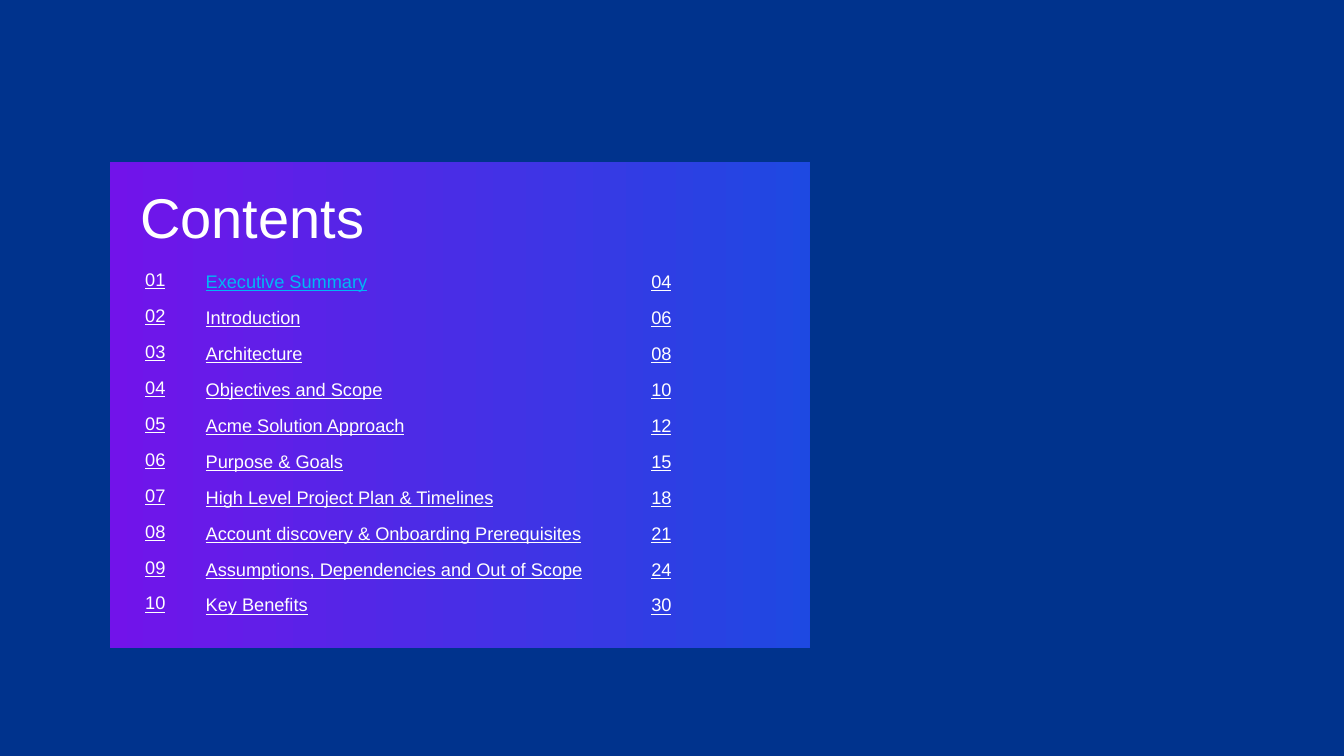
"""Builds a contents slide with a gradient panel and a linked-style table."""
from pptx import Presentation
from pptx import util as u
from pptx.dml.color import RGBColor
from pptx.enum import shapes, text
from pptx.oxml.ns import qn

COLOURS = {"background": "00338D", "panel_start": "7213EA",
           "panel_end": "1E49E2", "text": "FFFFFF", "current": "00B8F5"}
COLUMNS, ROWS = 133.3, 75
NO_STYLE = "{2D5ABB26-0587-4C30-8999-92F81FD0307C}"
CELL_FONT = {"name": "Arial", "size": u.Pt(13), "underline": True}
TITLE_FONT = {"name": "Arial", "size": u.Pt(40)}
COLUMN_WIDTHS = (6, 42.1, 4.1)
ROW_HEIGHT = 3.5
CONTENTS = (
    ("Executive Summary", "04"),
    ("Introduction", "06"),
    ("Architecture", "08"),
    ("Objectives and Scope", "10"),
    ("Acme Solution Approach", "12"),
    ("Purpose & Goals", "15"),
    ("High Level Project Plan & Timelines", "18"),
    ("Account discovery & Onboarding Prerequisites", "21"),
    ("Assumptions, Dependencies and Out of Scope", "24"),
    ("Key Benefits", "30"),
)


def colour(name):
    """Return the named colour."""
    return RGBColor.from_string(COLOURS[name])


def grid(*lengths):
    """Turn grid units, each a tenth of an inch, into slide lengths."""
    return [u.Inches(length / 10) for length in lengths]


def set_values(target, values):
    """Set each named attribute on the target."""
    for name, value in values.items():
        setattr(target, name, value)


def write(paragraph, words, font, colour_name="text", **layout):
    """Write formatted words into a paragraph."""
    set_values(paragraph, layout)
    run = paragraph.add_run()
    run.text = words
    set_values(run.font, font)
    run.font.color.rgb = colour(colour_name)


def add_panel(slide, box):
    """Add the panel with its left-to-right gradient."""
    panel = slide.shapes.add_shape(shapes.MSO_SHAPE.RECTANGLE, *grid(*box))
    panel.shadow.inherit = False
    panel.line.fill.background()
    panel.fill.gradient()
    panel.fill.gradient_angle = 0
    for stop, name in zip(panel.fill.gradient_stops, ("panel_start", "panel_end")):
        stop.color.rgb = colour(name)


def add_title(slide, box, words):
    """Add the title without side margins."""
    frame = slide.shapes.add_textbox(*grid(*box)).text_frame
    set_values(frame, {"word_wrap": True, "margin_left": 0, "margin_right": 0,
                       "margin_top": u.Inches(0.07), "margin_bottom": 0})
    write(frame.paragraphs[0], words, TITLE_FONT, line_spacing=0.7)


def fill_cell(cell, words, colour_name, left_margin, layout):
    """Fill one transparent table cell."""
    cell.fill.background()
    margin = u.Inches(0.07)
    set_values(cell, {"margin_left": u.Inches(left_margin), "margin_right": 0,
                      "margin_top": margin, "margin_bottom": margin,
                      "vertical_anchor": text.MSO_ANCHOR.MIDDLE})
    write(cell.text_frame.paragraphs[0], words, CELL_FONT, colour_name, **layout)


def add_contents(slide, left, top, entries):
    """Add the table of numbered sections and their pages."""
    box = grid(left, top, sum(COLUMN_WIDTHS), ROW_HEIGHT * len(entries))
    table = slide.shapes.add_table(len(entries), len(COLUMN_WIDTHS), *box).table
    set_values(table, {"first_row": False, "horz_banding": False})
    table._tbl.tblPr.find(qn("a:tableStyleId")).text = NO_STYLE
    for column, width in zip(table.columns, grid(*COLUMN_WIDTHS)):
        column.width = width
    for index, (section, page) in enumerate(entries):
        number, name, page_cell = table.rows[index].cells
        fill_cell(number, f"{index + 1:02}", "text", 0, {"line_spacing": 0.7})
        fill_cell(name, section, "text" if index else "current", 0, {})
        fill_cell(page_cell, page, "text", 0.07, {"alignment": text.PP_ALIGN.RIGHT})


def main():
    """Build and save the slide."""
    presentation = Presentation()
    presentation.slide_width, presentation.slide_height = grid(COLUMNS, ROWS)
    slide = presentation.slides.add_slide(presentation.slide_layouts[6])
    slide.background.fill.solid()
    slide.background.fill.fore_color.rgb = colour("background")
    add_panel(slide, (10.9, 16.1, 69.4, 48.2))
    add_title(slide, (13.9, 19.2, 26.1, 7), "Contents")
    add_contents(slide, 14.4, 26.2, CONTENTS)
    presentation.save("out.pptx")


if __name__ == "__main__":
    main()
